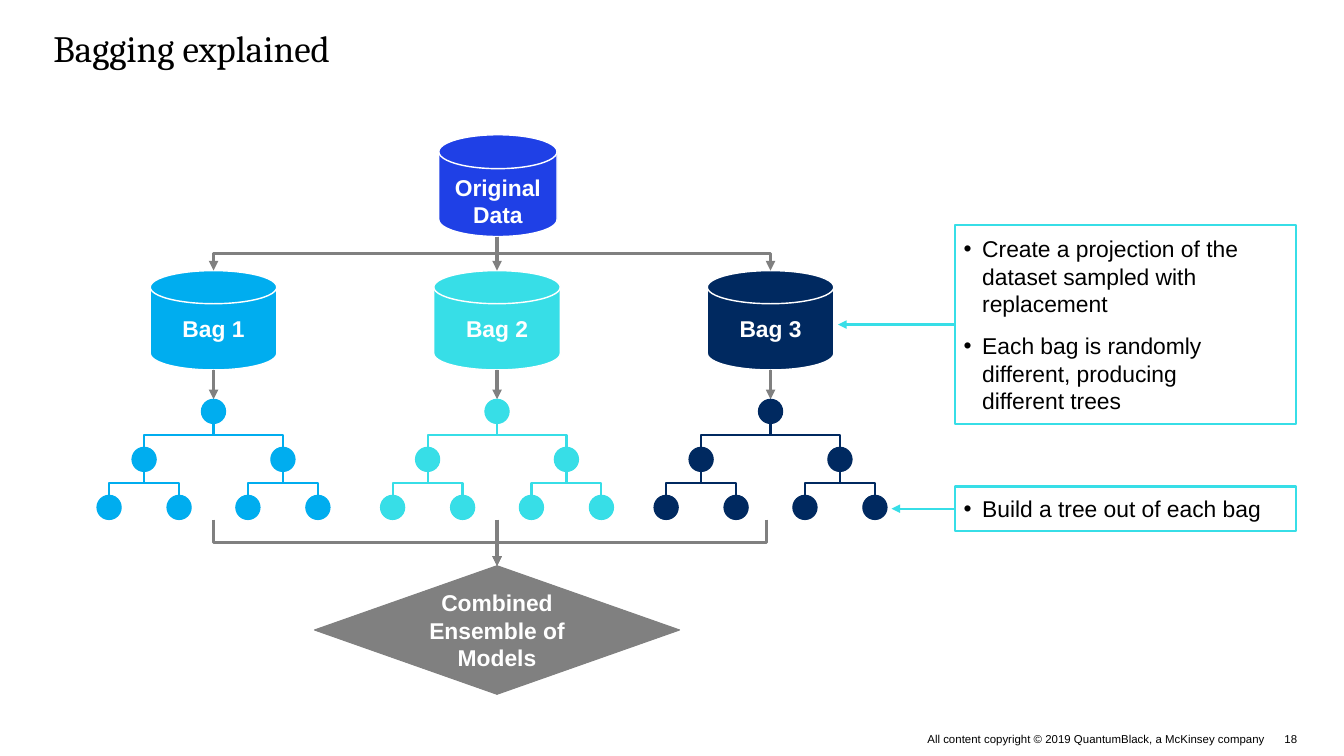
from pptx import Presentation
from pptx.dml.color import RGBColor
from pptx.enum.shapes import MSO_CONNECTOR as CONN, MSO_SHAPE as SHAPE
from pptx.enum.text import MSO_ANCHOR as ANCHOR, PP_ALIGN as ALIGN
from pptx.oxml.ns import qn
from pptx.util import Pt
from lxml import etree

TITLE = "Bagging explained"
FOOTER = "All content copyright © 2019 QuantumBlack, a McKinsey company"
PAGE = "18"
BLACK, WHITE, GREY, CYAN = "000000", "FFFFFF", "808080", "37DEE7"
SOURCE = ("Original Data", "1F40E6")
# label, colour, centre x, x where its tree joins the ensemble
BAGS = [
    ("Bag 1", "00ADEF", 149.5, 149.5),
    ("Bag 2", CYAN, 348, 348),
    ("Bag 3", "002960", 539.5, 536.5),
]
ENSEMBLE = "Combined Ensemble of Models"
# top, height, arrow end x, bullets
CALLOUTS = [
    (157.7, 139, 586.8, ["Create a projection of the dataset sampled with replacement",
                         "Each bag is randomly different, producing \ndifferent trees"]),
    (340.6, 31, 624.2, ["Build a tree out of each bag"]),
]

MID_X = 348
SOURCE_TOP, SOURCE_W, SOURCE_H = 94.3, 82.8, 71.3
BAG_TOP, BAG_W, BAG_H = 189.4, 88.6, 69.6
NODE, ROOT_Y, LEVEL_GAP = 17, 288, 33.6
SPREADS = [48.6, 24.5]
ENSEMBLE_TOP, ENSEMBLE_W, ENSEMBLE_H = 396, 255.6, 90
CALLOUT_X, CALLOUT_W = 668.9, 238.3


def color(hex_code):
    return RGBColor.from_string(hex_code)


def add_run(p, text, size, ink, font="Arial", bold=False):
    r = p.add_run()
    r.text = text
    r.font.size, r.font.name, r.font.bold = Pt(size), font, bold
    r.font.color.rgb = color(ink)


def set_insets(tf, x, y):
    tf.margin_left = tf.margin_right = Pt(x)
    tf.margin_top = tf.margin_bottom = Pt(y)


def add_label(s, x, y, w, h, text, size, font="Arial", align=ALIGN.LEFT, wrap=True):
    tf = s.shapes.add_textbox(Pt(x), Pt(y), Pt(w), Pt(h)).text_frame
    tf.word_wrap = wrap
    set_insets(tf, 0, 0)
    p = tf.paragraphs[0]
    p.alignment = align
    add_run(p, text, size, BLACK, font)


def add_box(shapes, kind, x, y, w, h, fill, line, line_width=0.75):
    sp = shapes.add_shape(kind, Pt(x), Pt(y), Pt(w), Pt(h))
    sp.shadow.inherit = False
    sp.fill.solid()
    sp.fill.fore_color.rgb = color(fill)
    sp.line.color.rgb = color(line)
    sp.line.width = Pt(line_width)
    return sp


def add_caption(sp, text, anchor=ANCHOR.MIDDLE):
    tf = sp.text_frame
    tf.word_wrap = True
    tf.vertical_anchor = anchor
    p = tf.paragraphs[0]
    p.alignment = ALIGN.CENTER
    add_run(p, text, 16, WHITE, bold=True)


def add_line(shapes, x1, y1, x2, y2, ink, width, arrow=True, kind=CONN.STRAIGHT):
    c = shapes.add_connector(kind, Pt(x1), Pt(y1), Pt(x2), Pt(y2))
    c.line.color.rgb = color(ink)
    c.line.width = Pt(width)
    sp_pr = c.element.spPr
    if arrow:
        etree.SubElement(sp_pr.find(qn("a:ln")), qn("a:tailEnd"), type="triangle")
    etree.SubElement(sp_pr, qn("a:effectLst"))
    return c


def add_drop(shapes, x1, y1, x2, y2, ink, width, arrow=True):
    """Go down, across and down again; straight down if the ends line up."""
    if x1 == x2:
        add_line(shapes, x1, y1, x2, y2, ink, width, arrow)
        return
    # An elbow starts sideways, so lay it on its side and turn it a quarter.
    cx, cy = (x1 + x2) / 2, (y1 + y2) / 2
    right = x2 > x1
    dx = abs(x2 - x1) / 2
    dy = (y2 - y1) / 2 * (-1 if right else 1)
    c = add_line(shapes, cx - dy, cy - dx, cx + dy, cy + dx, ink, width, arrow, CONN.ELBOW)
    c.element.spPr.find(qn("a:xfrm")).set("rot", str((270 if right else 90) * 60000))


def add_tree(shapes, x, y, ink, spreads):
    add_box(shapes, SHAPE.OVAL, x - NODE / 2, y - NODE / 2, NODE, NODE, ink, ink)
    if spreads:
        for child_x in (x - spreads[0], x + spreads[0]):
            child_y = y + LEVEL_GAP
            add_drop(shapes, x, y + NODE / 2, child_x, child_y - NODE / 2, ink, 1.5, False)
            add_tree(shapes, child_x, child_y, ink, spreads[1:])


def add_callout(s, top, height, arrow_x, bullets):
    sp = add_box(s.shapes, SHAPE.RECTANGLE, CALLOUT_X, top, CALLOUT_W, height, WHITE, CYAN, 1.5)
    tf = sp.text_frame
    tf.word_wrap = True
    tf.vertical_anchor = ANCHOR.MIDDLE
    set_insets(tf, 5.8, 5.8)
    for i, bullet in enumerate(bullets):
        p = tf.add_paragraph() if i else tf.paragraphs[0]
        p.alignment = ALIGN.LEFT
        p_pr = p._p.get_or_add_pPr()
        p_pr.set("marL", str(Pt(13)))
        p_pr.set("indent", str(-Pt(13)))
        if i:
            p.space_before = Pt(10.3)
        etree.SubElement(etree.SubElement(p_pr, qn("a:buClr")), qn("a:srgbClr"), val=BLACK)
        etree.SubElement(p_pr, qn("a:buFont"), typeface="Arial")
        etree.SubElement(p_pr, qn("a:buChar"), char="•")
        for j, text in enumerate(bullet.split("\n")):
            if j:
                p.add_line_break()
            add_run(p, text, 16, BLACK)
    y = top + height / 2
    add_line(s.shapes, CALLOUT_X, y, arrow_x, y, CYAN, 1.5).begin_connect(sp, 1)


def main():
    prs = Presentation()
    prs.slide_width, prs.slide_height = Pt(941), Pt(529.2)
    s = prs.slides.add_slide(prs.slide_layouts[6])

    add_label(s, 37.4, 18, 870, 32, TITLE, 26, "Cambria")
    add_label(s, 644.6, 512.6, 241.2, 9.4, FOOTER, 8, align=ALIGN.RIGHT)
    add_label(s, 899.3, 512.6, 10, 9.4, PAGE, 8, wrap=False)

    label, ink = SOURCE
    disk = add_box(s.shapes, SHAPE.FLOWCHART_MAGNETIC_DISK, MID_X - SOURCE_W / 2 + 0.6,
                   SOURCE_TOP, SOURCE_W, SOURCE_H, ink, WHITE, 1)
    add_caption(disk, label, ANCHOR.TOP)
    diamond = add_box(s.shapes, SHAPE.FLOWCHART_DECISION, MID_X - ENSEMBLE_W / 2,
                      ENSEMBLE_TOP, ENSEMBLE_W, ENSEMBLE_H, GREY, GREY)
    add_caption(diamond, ENSEMBLE)

    tree_bottom = ROOT_Y + len(SPREADS) * LEVEL_GAP + NODE / 2
    for label, ink, x, join_x in BAGS:
        bag = add_box(s.shapes, SHAPE.FLOWCHART_MAGNETIC_DISK, x - BAG_W / 2, BAG_TOP,
                      BAG_W, BAG_H, ink, WHITE, 1)
        add_caption(bag, label)
        add_drop(s.shapes, MID_X, SOURCE_TOP + SOURCE_H, x, BAG_TOP, GREY, 2.25)
        add_drop(s.shapes, x, BAG_TOP + BAG_H, x, ROOT_Y - NODE / 2, GREY, 2.25)
        add_tree(s.shapes.add_group_shape().shapes, x, ROOT_Y, ink, SPREADS)
        add_drop(s.shapes, join_x, tree_bottom, MID_X, ENSEMBLE_TOP, GREY, 2.25)

    for callout in CALLOUTS:
        add_callout(s, *callout)
    prs.save("out.pptx")


if __name__ == "__main__":
    main()
